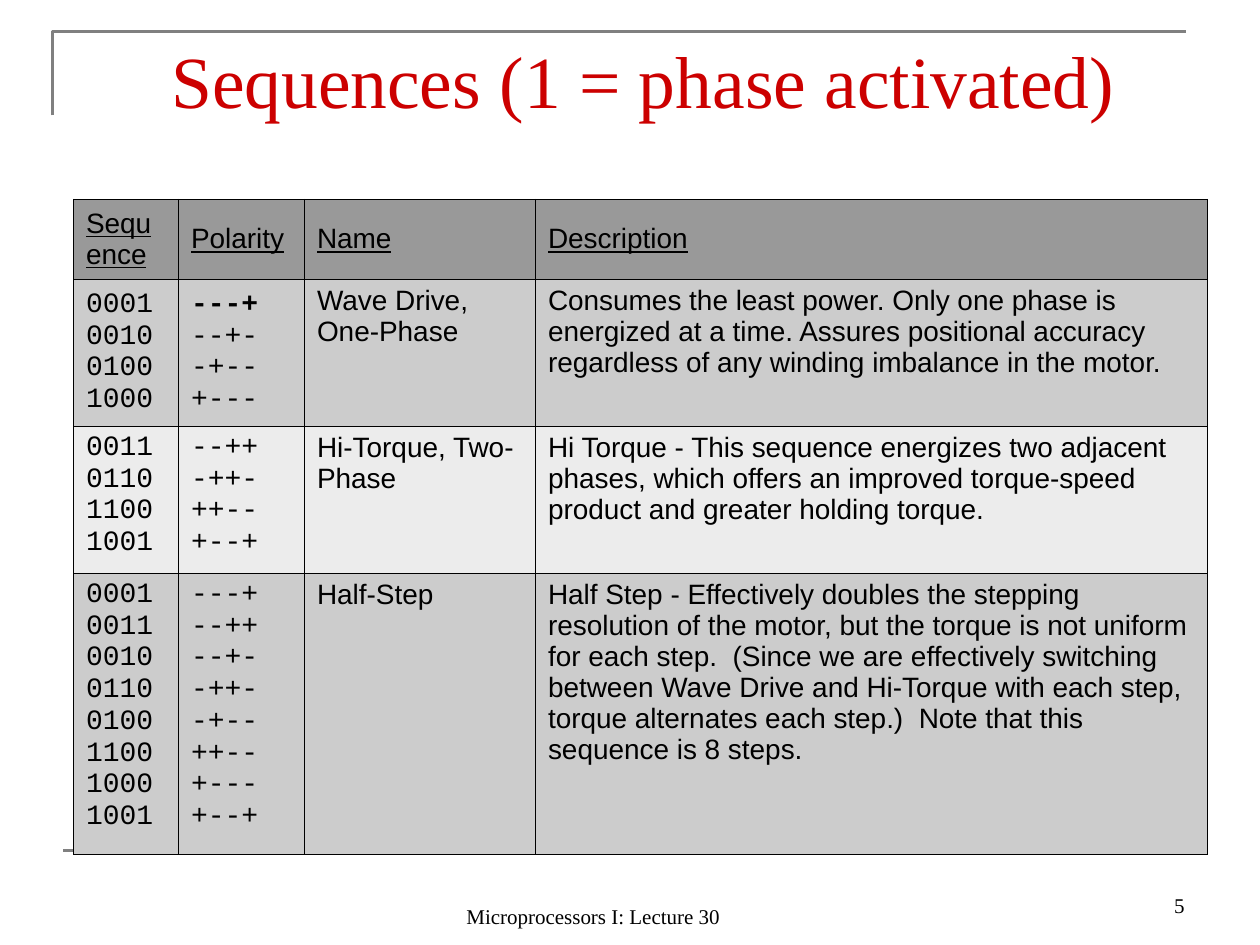
from lxml import etree
from pptx import Presentation
from pptx.dml.color import RGBColor
from pptx.enum import shapes, text
from pptx.oxml import ns
from pptx.util import Pt

BLACK = RGBColor(0x00, 0x00, 0x00)
RED = RGBColor(0xCC, 0x00, 0x00)
RULE_GRAY = RGBColor(0x80, 0x80, 0x80)
HEADER_GRAY = RGBColor(0x99, 0x99, 0x99)
DARK_ROW = RGBColor(0xCC, 0xCC, 0xCC)
LIGHT_ROW = RGBColor(0xEC, 0xEC, 0xEC)

SERIF, SANS, MONO = "Times New Roman", "Arial", "Courier New"
TOP, MIDDLE, BOTTOM = (text.MSO_ANCHOR.TOP, text.MSO_ANCHOR.MIDDLE,
                       text.MSO_ANCHOR.BOTTOM)
LEFT, CENTER, RIGHT = (text.PP_ALIGN.LEFT, text.PP_ALIGN.CENTER,
                       text.PP_ALIGN.RIGHT)

COLUMN_WIDTHS = (60, 72, 132, 384)
ROW_HEIGHTS = (45.6, 84, 84, 160.6)
HEADINGS = ("Sequence", "Polarity", "Name", "Description")
# Row fill, anchor of the step columns, steps, polarities, name, description
MODES = (
    (DARK_ROW, MIDDLE, "0001 0010 0100 1000", "---+ --+- -+-- +---",
     "Wave Drive, One-Phase",
     "Consumes the least power. Only one phase is energized at a time. "
     "Assures positional accuracy regardless of any winding imbalance in "
     "the motor."),
    (LIGHT_ROW, TOP, "0011 0110 1100 1001", "--++ -++- ++-- +--+",
     "Hi-Torque, Two-Phase",
     "Hi Torque - This sequence energizes two adjacent phases, which offers "
     "an improved torque-speed product and greater holding torque."),
    (DARK_ROW, TOP, "0001 0011 0010 0110 0100 1100 1000 1001",
     "---+ --++ --+- -++- -+-- ++-- +--- +--+",
     "Half-Step",
     "Half Step - Effectively doubles the stepping resolution of the motor, "
     "but the torque is not uniform for each step.  (Since we are "
     "effectively switching between Wave Drive and Hi-Torque with each step, "
     "torque alternates each step.)  Note that this sequence is 8 steps."),
)


class SlideBuilder:
    rule_width = 1.5
    border_width = 0.34
    cell_size = 16
    break_size = 18

    def __init__(self, slide):
        self.slide = slide

    def style_line(self, line):
        line.color.rgb = RULE_GRAY
        line.width = Pt(self.rule_width)

    def style_font(self, font, size, name, color=BLACK):
        font.size = Pt(size)
        font.name = name
        font.color.rgb = color

    def rule(self, x1, x2, y):
        rule = self.slide.shapes.add_connector(
            shapes.MSO_CONNECTOR.STRAIGHT, Pt(x1), Pt(y), Pt(x2), Pt(y))
        self.style_line(rule.line)
        etree.SubElement(rule._element.spPr, ns.qn("a:effectLst"))

    def corner(self, x, y, width, height):
        outline = self.slide.shapes.build_freeform(Pt(x), Pt(y + height))
        outline.add_line_segments(
            [(Pt(x), Pt(y)), (Pt(x + width), Pt(y))], close=False)
        corner = outline.convert_to_shape()
        corner.shadow.inherit = False
        corner.fill.background()
        self.style_line(corner.line)

    def label(self, words, x, y, width, height, size, color=BLACK,
              align=LEFT, anchor=BOTTOM):
        box = self.slide.shapes.add_textbox(
            Pt(x), Pt(y), Pt(width), Pt(height))
        frame = box.text_frame
        frame.word_wrap = True
        frame.vertical_anchor = anchor
        line = frame.paragraphs[0]
        line.text = words
        line.alignment = align
        self.style_font(line.font, size, SERIF, color)

    def table(self, x, y, widths, heights):
        table = self.slide.shapes.add_table(
            len(heights), len(widths), Pt(x), Pt(y),
            Pt(sum(widths)), Pt(sum(heights))).table
        table.first_row = table.horz_banding = False
        for column, width in zip(table.columns, widths):
            column.width = Pt(width)
        for row, height in zip(table.rows, heights):
            row.height = Pt(height)
        return table

    def cell(self, cell, fill, anchor):
        """Borders, fill and anchor; returns the cell's paragraph."""
        props = cell._tc.get_or_add_tcPr()
        for side in ("lnL", "lnR", "lnT", "lnB"):
            border = etree.SubElement(props, ns.qn(f"a:{side}"),
                                      w=str(Pt(self.border_width)))
            solid = etree.SubElement(border, ns.qn("a:solidFill"))
            etree.SubElement(solid, ns.qn("a:srgbClr"), val=str(BLACK))
        cell.fill.solid()
        cell.fill.fore_color.rgb = fill
        cell.vertical_anchor = anchor
        return cell.text_frame.paragraphs[0]

    def text_cell(self, cell, words, fill, anchor=TOP, underline=None):
        line = self.cell(cell, fill, anchor)
        line.text = words
        self.style_font(line.font, self.cell_size, SANS)
        line.font.underline = underline

    def tall_break(self, line):
        line.add_line_break()
        props = etree.SubElement(line._p[-1], ns.qn("a:rPr"),
                                 sz=str(self.break_size * 100))
        etree.SubElement(props, ns.qn("a:latin"), typeface=MONO)

    def steps_cell(self, cell, steps, fill, anchor, bold_first=False):
        """Steps on separate lines; the breaks are taller than the text."""
        line = self.cell(cell, fill, anchor)
        for i, step in enumerate(steps.split()):
            if i:
                self.tall_break(line)
            run = line.add_run()
            run.text = step
            self.style_font(run.font, self.cell_size, MONO)
            if bold_first and i == 0:
                run.font.bold = True


def main():
    deck = Presentation()
    deck.slide_width, deck.slide_height = Pt(720), Pt(540)
    builder = SlideBuilder(deck.slides.add_slide(deck.slide_layouts[6]))

    # Frame lines and footer
    builder.corner(30, 18, 648, 48)
    builder.rule(36, 684, 486)
    builder.label("Microprocessors I: Lecture 30", 186, 498, 306, 36, 12,
                  align=CENTER)
    builder.label("5", 516, 492, 168, 36, 12, align=RIGHT)

    # Title
    builder.label("Sequences (1 = phase activated)", 90.7, 16.6, 613.4, 79,
                  42, RED, anchor=TOP)

    # Table of stepping sequences
    table = builder.table(42, 113.8, COLUMN_WIDTHS, ROW_HEIGHTS)
    for column, heading in enumerate(HEADINGS):
        builder.text_cell(table.cell(0, column), heading, HEADER_GRAY,
                          MIDDLE, underline=True)
    for row, mode in enumerate(MODES, start=1):
        fill, anchor, steps, polarities, name, description = mode
        builder.steps_cell(table.cell(row, 0), steps, fill, anchor)
        builder.steps_cell(table.cell(row, 1), polarities, fill, anchor,
                           bold_first=row == 1)
        builder.text_cell(table.cell(row, 2), name, fill)
        builder.text_cell(table.cell(row, 3), description, fill)

    deck.save("out.pptx")


if __name__ == "__main__":
    main()
